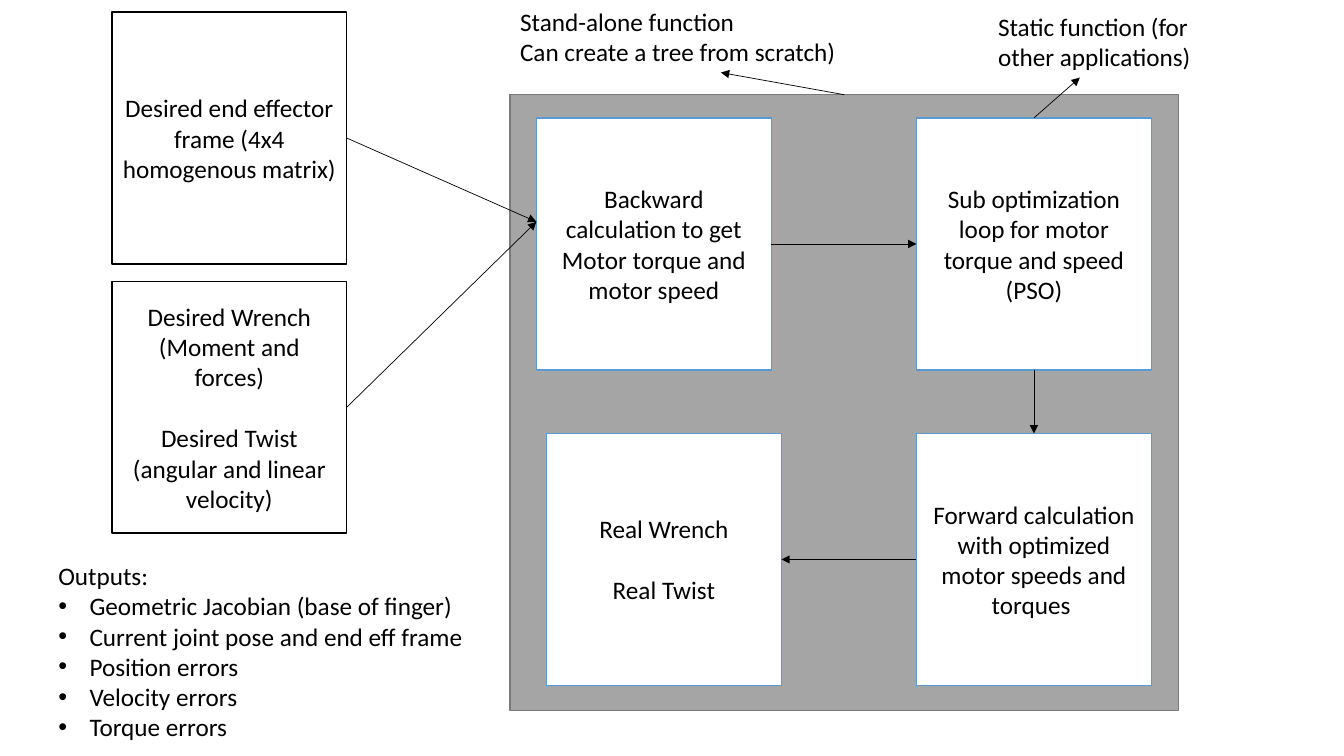
from dataclasses import dataclass
from typing import NamedTuple, Optional

from lxml import etree
from pptx import Presentation
from pptx import util as u
from pptx.dml.color import RGBColor
from pptx.enum import shapes, text
from pptx.oxml import ns


@dataclass(frozen=True)
class Theme:
    """Colours, type and line widths of the slide."""
    font: str = "Calibri"
    size: int = 18
    gap: int = 22
    ink: str = "000000"
    paper: str = "FFFFFF"
    blue: str = "5B9BD5"
    panel: str = "A5A5A5"
    panel_edge: str = "7A7A7A"
    outline: float = 1
    arrow: float = 0.5


T = Theme()


class Box(NamedTuple):
    """A rectangle with its text; gap separates the paragraphs."""
    key: str
    left: float
    top: float
    edge: str
    lines: tuple[str, ...] = ()
    gap: int = 0
    width: float = 2.33
    height: float = 2.5
    fill: str = T.paper


class Note(NamedTuple):
    """Free text, whose lines after the first may be bulleted."""
    left: float
    top: float
    width: float
    height: float
    lines: tuple[str, ...]
    bullets: bool = False


class Arrow(NamedTuple):
    """An arrow; an end without a box site is a free point."""
    start: tuple[float, float]
    end: tuple[float, float]
    source: Optional[tuple[str, int]] = None
    target: Optional[tuple[str, int]] = None


TOP, LEFT, BOTTOM, RIGHT = range(4)
COL_IN, COL_A, COL_B = 1.11, 5.32, 9.09
ROW_1, ROW_2 = 1.17, 4.3
ENTRY = (COL_A, 2.2)

BOXES = [
    Box("panel", 5.06, 0.94, T.panel_edge, width=6.63, height=6.11, fill=T.panel),
    Box("frame", COL_IN, 0.12, T.ink,
        ("Desired end effector frame (4x4 homogenous matrix)",)),
    Box("wrench", COL_IN, 2.79, T.ink,
        ("Desired Wrench (Moment and forces)",
         "Desired Twist (angular and linear velocity)"), T.gap),
    Box("backward", COL_A, ROW_1, T.blue,
        ("Backward calculation to get Motor torque and", "motor speed")),
    Box("optimize", COL_B, ROW_1, T.blue,
        ("Sub optimization loop for motor torque and speed", "(PSO)")),
    Box("forward", COL_B, ROW_2, T.blue,
        ("Forward calculation with optimized motor speeds and torques ",)),
    Box("real", COL_A + 0.1, ROW_2, T.blue, ("Real Wrench", "Real Twist"), T.gap),
]
NOTES = [
    Note(5.06, 0.01, 4.19, 0.71,
         ("Stand-alone function", "Can create a tree from scratch)")),
    Note(9.8, 0.06, 2.45, 0.71, ("Static function (for other applications)",)),
    Note(0.48, 5.51, 4.27, 1.92,
         ("Outputs:", "Geometric Jacobian (base of finger)",
          "Current joint pose and end eff frame", "Position errors",
          "Velocity errors", "Torque errors"), bullets=True),
]
ARROWS = [
    Arrow((3.44, 1.37), ENTRY, ("frame", RIGHT)),
    Arrow((3.44, 4.04), ENTRY, ("wrench", RIGHT)),
    Arrow((7.65, 2.42), (9.09, 2.42), ("backward", RIGHT), ("optimize", LEFT)),
    Arrow((10.26, 3.67), (10.26, 4.3), ("optimize", BOTTOM), ("forward", TOP)),
    Arrow((9.09, 5.55), (7.75, 5.55), ("forward", LEFT), ("real", RIGHT)),
    Arrow((10.26, 1.17), (10.71, 0.77), ("optimize", TOP)),
    Arrow((8.37, 0.94), (7.15, 0.72), ("panel", TOP)),
]


def rgb(value: str) -> RGBColor:
    """Turn a hex string into a colour."""
    return RGBColor.from_string(value)


def write(tf, lines: tuple[str, ...], align, gap: int = 0) -> None:
    """Write one paragraph per line in the slide's type."""
    for i, line in enumerate(lines):
        p = tf.add_paragraph() if i else tf.paragraphs[0]
        p.alignment = align
        if i and gap:
            p.space_before = u.Pt(gap)
        r = p.add_run()
        r.text = line
        r.font.name, r.font.size = T.font, u.Pt(T.size)
        r.font.color.rgb = rgb(T.ink)


def add_box(s, box: Box):
    """Draw a rectangle with centred text."""
    sp = s.shapes.add_shape(
        shapes.MSO_SHAPE.RECTANGLE, u.Inches(box.left), u.Inches(box.top),
        u.Inches(box.width), u.Inches(box.height))
    sp.shadow.inherit = False
    sp.fill.solid()
    sp.fill.fore_color.rgb = rgb(box.fill)
    sp.line.color.rgb = rgb(box.edge)
    sp.line.width = u.Pt(T.outline)
    if box.lines:
        tf = sp.text_frame
        tf.word_wrap = True
        tf.vertical_anchor = text.MSO_ANCHOR.MIDDLE
        write(tf, box.lines, text.PP_ALIGN.CENTER, box.gap)
    return sp


def add_bullet(p) -> None:
    """Give a paragraph a hanging bullet."""
    ppr = p._p.get_or_add_pPr()
    indent = u.Inches(0.31)
    ppr.set("marL", str(indent))
    ppr.set("indent", str(-indent))
    etree.SubElement(ppr, ns.qn("a:buFont")).set("typeface", "Arial")
    etree.SubElement(ppr, ns.qn("a:buChar")).set("char", "•")


def add_note(s, note: Note) -> None:
    """Draw a text box, with bullets if asked for."""
    sp = s.shapes.add_textbox(u.Inches(note.left), u.Inches(note.top),
                              u.Inches(note.width), u.Inches(note.height))
    tf = sp.text_frame
    tf.word_wrap = not note.bullets
    tf.auto_size = text.MSO_AUTO_SIZE.SHAPE_TO_FIT_TEXT
    write(tf, note.lines, text.PP_ALIGN.LEFT)
    if note.bullets:
        for p in tf.paragraphs[1:]:
            add_bullet(p)


def add_arrow(s, arrow: Arrow, drawn: dict) -> None:
    """Draw an arrow and attach it to its boxes."""
    points = [u.Inches(v) for v in arrow.start + arrow.end]
    cxn = s.shapes.add_connector(shapes.MSO_CONNECTOR.STRAIGHT, *points)
    if arrow.source:
        cxn.begin_connect(drawn[arrow.source[0]], arrow.source[1])
    if arrow.target:
        cxn.end_connect(drawn[arrow.target[0]], arrow.target[1])
    cxn.line.color.rgb = rgb(T.ink)
    cxn.line.width = u.Pt(T.arrow)
    sppr = cxn._element.spPr
    etree.SubElement(sppr.find(ns.qn("a:ln")), ns.qn("a:tailEnd")).set("type", "triangle")
    etree.SubElement(sppr, ns.qn("a:effectLst"))


def main() -> None:
    """Build and save the slide."""
    prs = Presentation()
    prs.slide_width, prs.slide_height = u.Inches(13.33), u.Inches(7.5)
    s = prs.slides.add_slide(prs.slide_layouts[6])
    s.background.fill.solid()
    s.background.fill.fore_color.rgb = rgb(T.paper)
    drawn = {box.key: add_box(s, box) for box in BOXES}
    for note in NOTES:
        add_note(s, note)
    for arrow in ARROWS:
        add_arrow(s, arrow, drawn)
    prs.save("out.pptx")


main()
